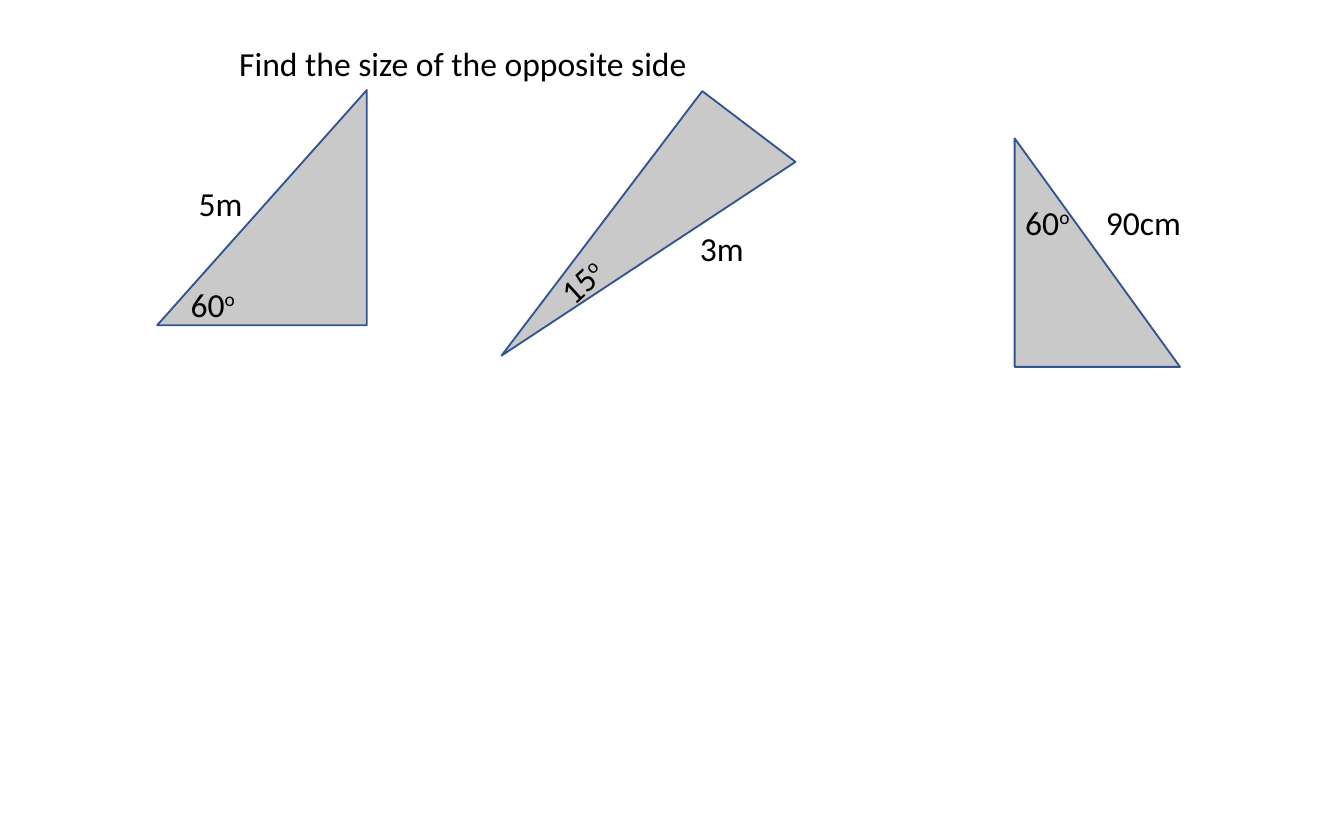
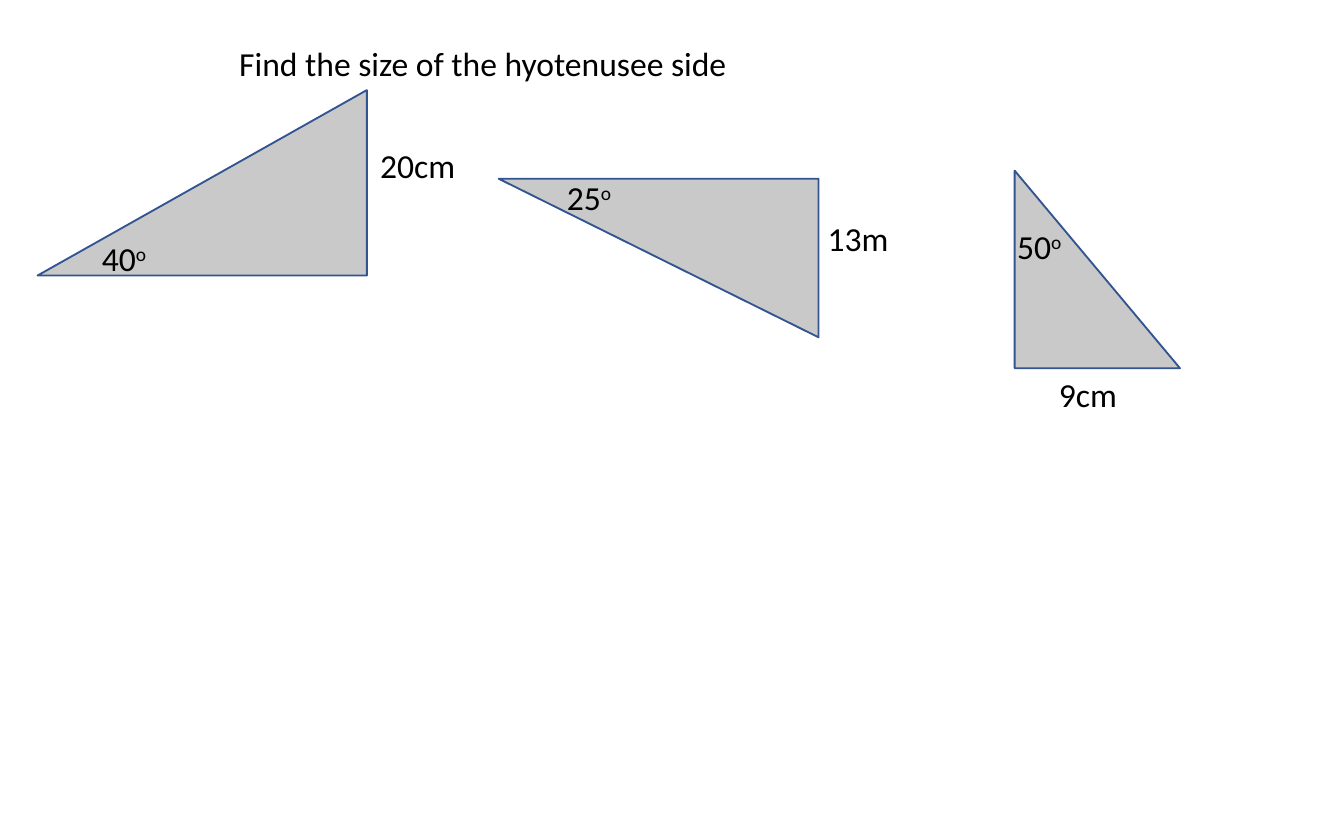
from pptx import Presentation
from pptx.dml.color import RGBColor as RGB
from pptx.enum.shapes import MSO_SHAPE as SHAPE
from pptx.enum.text import MSO_ANCHOR as ANCHOR, MSO_AUTO_SIZE as FIT, PP_ALIGN as ALIGN
from pptx.util import Inches, Pt

COLORS = {"text": "000000", "fill": "C9C9C9", "edge": "325491"}
FONT, SIZE = "Calibri", 18
WIDTH, HEIGHT = Inches(10), Inches(6.25)
CELL = WIDTH // 100
ROW = 4


def cells(*counts):
    """Turn counts of grid cells into lengths."""
    return [round(n * CELL) for n in counts]


def tint(name):
    """Look up a named colour."""
    return RGB.from_string(COLORS[name])


def write(shape, text, mark=""):
    """Write left-aligned text with an optional raised mark."""
    frame = shape.text_frame
    frame.word_wrap = True
    frame.auto_size = FIT.NONE
    frame.vertical_anchor = ANCHOR.TOP
    para = frame.paragraphs[0]
    para.alignment = ALIGN.LEFT
    para.add_run().text = text
    if mark:
        run = para.add_run()
        run.text = mark
        run.font._element.set("baseline", "30000")
    font = para.font
    font.name, font.size = FONT, Pt(SIZE)
    font.color.rgb = tint("text")


def add_page(deck, title):
    """Add a title-only slide with its heading."""
    page = deck.slides.add_slide(deck.slide_layouts[5])
    head = page.shapes.title
    head.left, head.top, head.width, head.height = cells(16.8, 2.7, 41, ROW)
    write(head, title)
    return page


def add_side(page, text, left, top, width=10):
    """Label a side with its length."""
    write(page.shapes.add_textbox(*cells(left, top, width, ROW)), text)


def add_angle(page, size, left, top, turn=0):
    """Label an angle in degrees."""
    box = page.shapes.add_textbox(*cells(left, top, 6.3, ROW))
    box.rotation = turn
    write(box, str(size), "o")


def add_tri(page, left, top, width, height, flip=True, turn=0):
    """Draw a right triangle, mirrored and turned as asked."""
    tri = page.shapes.add_shape(SHAPE.RIGHT_TRIANGLE, *cells(left, top, width, height))
    tri.shadow.inherit = False
    tri.rotation = turn
    if flip:
        tri._element.spPr.get_or_add_xfrm().set("flipH", "1")
    tri.fill.solid()
    tri.fill.fore_color.rgb = tint("fill")
    tri.line.color.rgb = tint("edge")
    tri.line.width = Pt(1)


def draw_opp(deck):
    """Build the opposite side exercise."""
    page = add_page(deck, "Find the size of the opposite side")
    add_tri(page, 11.7, 6.7, 15.6, 17.5)
    add_angle(page, 60, 13.2, 20.6)
    add_side(page, "5m", 13.8, 13.1, 6)
    add_tri(page, 43.9, 6.9, 8.7, 24.7, turn=217.2)
    add_angle(page, 15, 40.5, 18.6, turn=317.6)
    add_side(page, "3m", 51.1, 16.5, 6)
    add_tri(page, 75.5, 10.3, 12.3, 17, flip=False)
    add_angle(page, 60, 75.3, 14.5)
    add_side(page, "90cm", 81.3, 14.5)


def draw_hyp(deck):
    """Build the longest side exercise."""
    page = add_page(deck, "Find the size of the hyotenusee side")
    add_tri(page, 2.8, 6.7, 24.5, 13.8)
    add_angle(page, 40, 6.6, 17.2)
    add_side(page, "20cm", 27.3, 10.3, 7.7)
    add_tri(page, 43.1, 7.3, 11.8, 23.8, turn=270)
    add_angle(page, 25, 41.2, 12.7)
    add_side(page, "13m", 60.6, 15.7, 8.6)
    add_tri(page, 75.5, 12.7, 12.3, 14.7, flip=False)
    add_angle(page, 50, 74.7, 16.3)
    add_side(page, "9cm", 77.8, 27.3)


def main():
    """Build and save the deck."""
    deck = Presentation()
    deck.slide_width, deck.slide_height = WIDTH, HEIGHT
    draw_opp(deck)
    draw_hyp(deck)
    deck.save("out.pptx")


if __name__ == "__main__":
    main()
